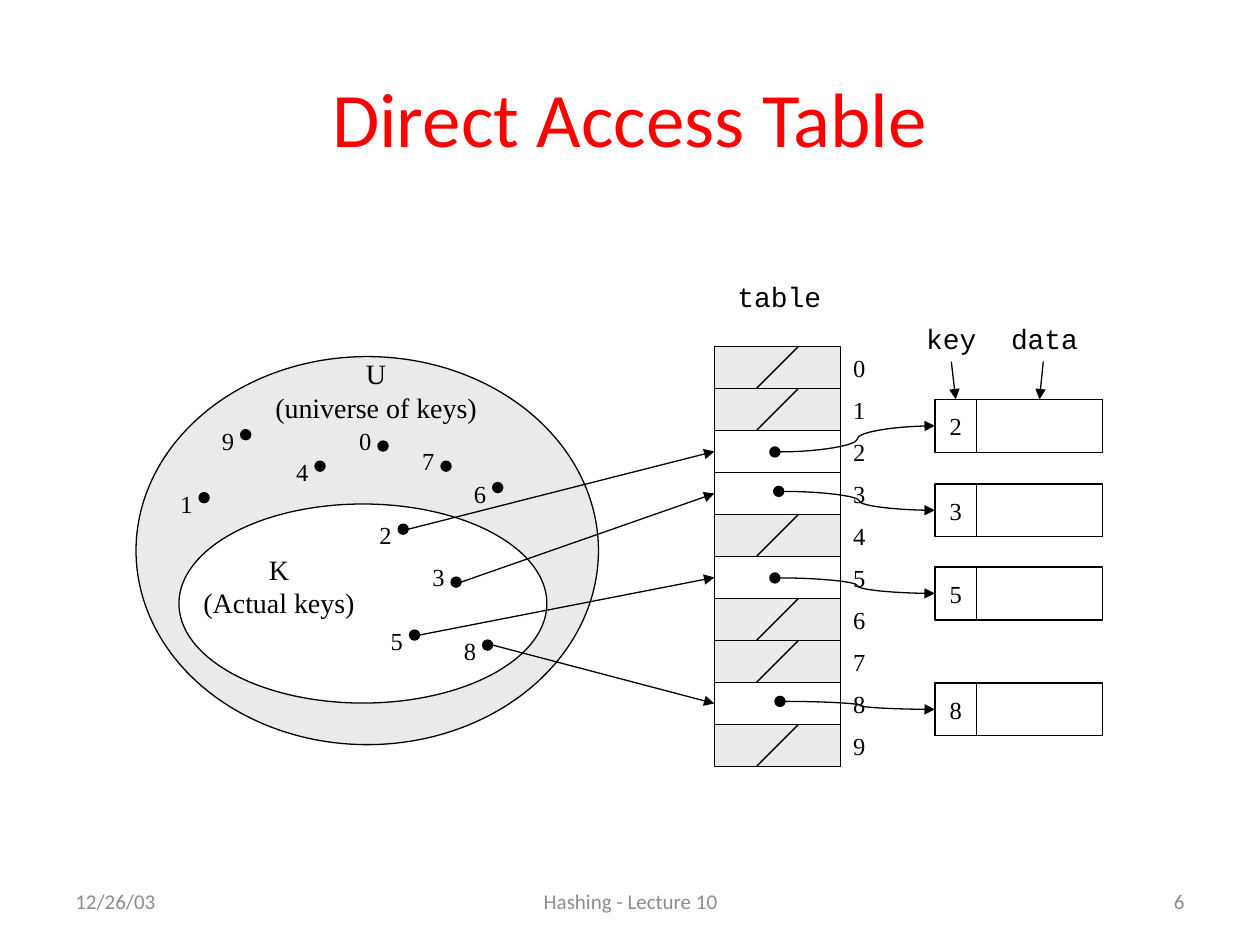
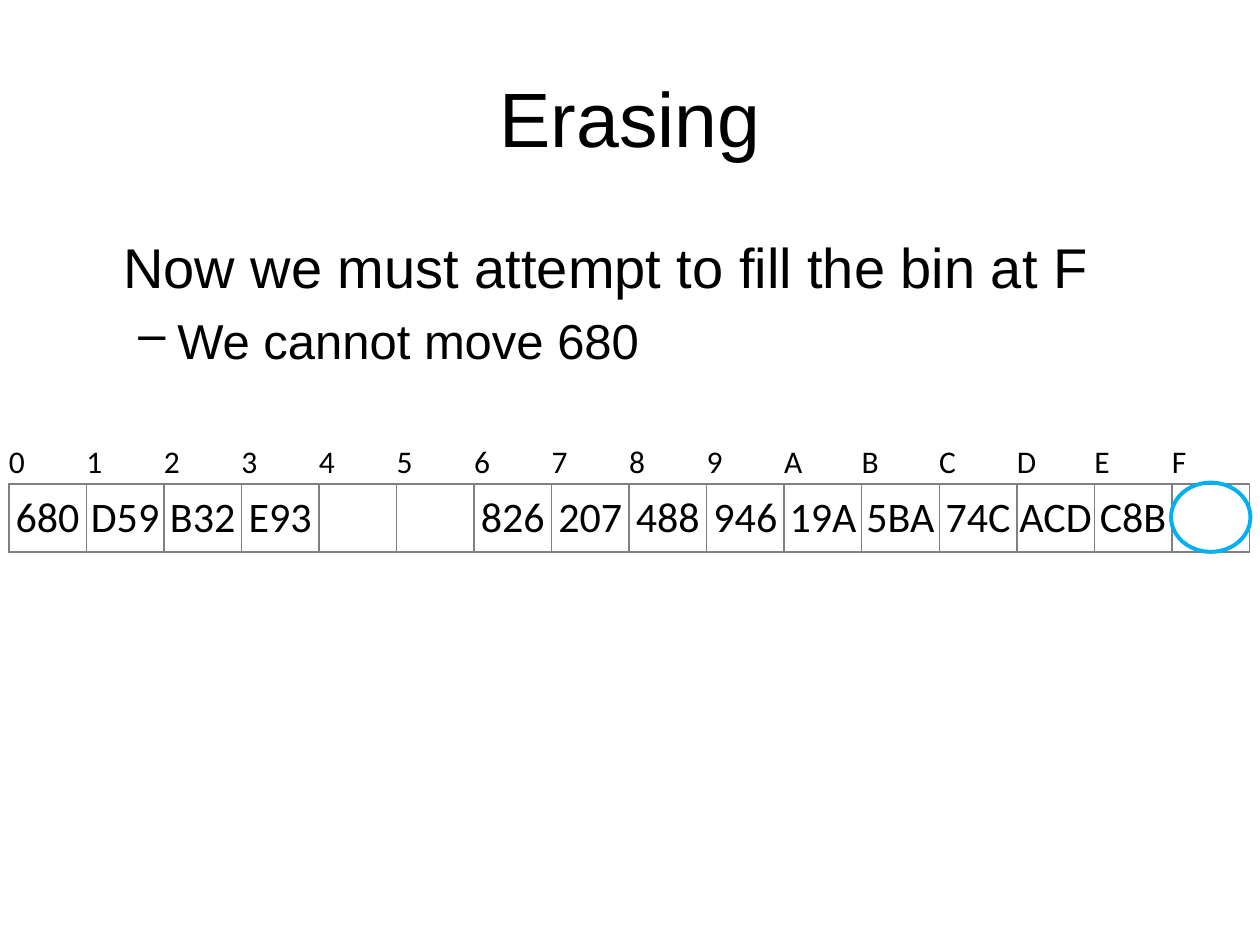
from dataclasses import dataclass

from lxml import etree
from pptx import Presentation
from pptx.dml.color import RGBColor
from pptx.enum.shapes import MSO_CONNECTOR, MSO_SHAPE
from pptx.enum.text import MSO_ANCHOR, PP_ALIGN
from pptx.oxml.ns import qn
from pptx.util import Inches, Pt

STRAIGHT, CURVE = MSO_CONNECTOR.STRAIGHT, MSO_CONNECTOR.CURVE
RECT, OVAL = MSO_SHAPE.RECTANGLE, MSO_SHAPE.OVAL
MIDDLE, TOP = MSO_ANCHOR.MIDDLE, MSO_ANCHOR.TOP
LEFT, CENTER, RIGHT = PP_ALIGN.LEFT, PP_ALIGN.CENTER, PP_ALIGN.RIGHT
TOP_SITE, LEFT_SITE = 0, 1


@dataclass(frozen=True)
class Theme:
    black: str = "000000"
    white: str = "FFFFFF"
    red: str = "FF0000"
    shade: str = "EAEAEA"
    footer: str = "8C8C8C"
    border: str = "808080"
    highlight: str = "00B0F0"
    sans: str = "Calibri"
    body: str = "Arial"
    serif: str = "Times New Roman"
    mono: str = "Courier New"
    title_size: int = 44
    body_size: int = 32
    sub_size: int = 28
    bin_size: int = 24
    index_size: int = 18
    label_size: int = 16
    key_size: int = 14
    footer_size: int = 12
    thin: float = 0.75
    bold_line: float = 2.25


@dataclass(frozen=True)
class Box:
    left: float
    top: float
    width: float
    height: float

    def inner(self, dx, dy, width, height):
        return Box(self.left + dx, self.top + dy, width, height)

    def lengths(self):
        return [Inches(v) for v in (self.left, self.top, self.width, self.height)]


T = Theme()
DOT = 0.08
SLOT_HEIGHT = 1 / 3
KEY_WIDTH = 0.33
RECORD_HEIGHT = 0.42


# Shared drawing helpers
def style_paragraph(paragraph, size, font, color=T.black, align=CENTER):
    paragraph.alignment = align
    for run in paragraph.runs:
        run.font.size, run.font.name = Pt(size), font
        run.font.color.rgb = RGBColor.from_string(color)


def add_text(slide, box, text, size, font, color=T.black, align=CENTER,
             wrap=False, anchor=MIDDLE):
    frame = slide.shapes.add_textbox(*box.lengths()).text_frame
    frame.word_wrap, frame.vertical_anchor = wrap, anchor
    frame.text = text
    for paragraph in frame.paragraphs:
        style_paragraph(paragraph, size, font, color, align)
    return frame


def add_outlined(slide, kind, box, fill=None, line=T.black, width=T.thin):
    shape = slide.shapes.add_shape(kind, *box.lengths())
    shape.shadow.inherit = False
    if fill:
        shape.fill.solid()
        shape.fill.fore_color.rgb = RGBColor.from_string(fill)
    else:
        shape.fill.background()
    shape.line.color.rgb = RGBColor.from_string(line)
    shape.line.width = Pt(width)
    return shape


def add_dot(slide, left, top):
    """Draw a dot and return the middle of its right side."""
    add_outlined(slide, OVAL, Box(left, top, DOT, DOT), T.black)
    return left + DOT, top + DOT / 2


def add_line(slide, start, end, kind=STRAIGHT, arrow=False):
    line = slide.shapes.add_connector(kind, *[Inches(v) for v in (*start, *end)])
    line.line.color.rgb = RGBColor.from_string(T.black)
    line.line.width = Pt(T.thin)
    if arrow:
        etree.SubElement(line.line._get_or_add_ln(), qn("a:tailEnd"), type="triangle")
    etree.SubElement(line._element.spPr, qn("a:effectLst"))
    return line


def add_arrow(slide, start, target, site, kind=STRAIGHT):
    left, top = target.left / Inches(1), target.top / Inches(1)
    width, height = target.width / Inches(1), target.height / Inches(1)
    end = (left + width / 2, top) if site == TOP_SITE else (left, top + height / 2)
    add_line(slide, start, end, kind, arrow=True).end_connect(target, site)


def add_title(slide, text, font, color=T.black):
    add_text(slide, Box(0.5, 0.3, 9, 1.25), text, T.title_size, font, color, wrap=True)


def add_footer(slide, date, lecture, number):
    parts = [(date, 0.5, 2.33, LEFT), (lecture, 3.42, 3.17, CENTER),
             (number, 7.17, 2.33, RIGHT)]
    for text, left, width, align in parts:
        add_text(slide, Box(left, 6.95, width, 0.4), text, T.footer_size, T.sans,
                 T.footer, align, wrap=True)


# Direct access table: the sets of keys
def draw_key_sets(slide, box):
    """Draw universe U with subset K; return where each key's arrow starts."""
    add_outlined(slide, OVAL, box, T.shade)
    add_text(slide, box.inner(1, -0.05, 1.81, 0.64), "U\n(universe of keys)",
             T.label_size, T.serif)
    add_outlined(slide, OVAL, box.inner(0.34, 1.17, 2.92, 1.58), T.white)
    add_text(slide, box.inner(0.43, 1.5, 1.41, 0.64), "K\n(Actual keys)",
             T.label_size, T.serif)
    key_dots = {2: (2.08, 1.33), 5: (2.17, 2.17), 8: (2.75, 2.25), 3: (2.5, 1.75),
                1: (0.5, 1.08), 9: (0.83, 0.58), 4: (1.42, 0.83), 0: (1.92, 0.67),
                7: (2.42, 0.83), 6: (2.83, 1)}
    raised_labels = (0, 3, 7)
    starts = {}
    for key, (dx, dy) in key_dots.items():
        rise = 0.17 if key in raised_labels else 0.08
        add_text(slide, box.inner(dx - 0.25, dy - rise, 0.3, 0.33), str(key),
                 T.key_size, T.serif)
        starts[key] = add_dot(slide, box.left + dx, box.top + dy)
    return starts


# Direct access table: the ten slots
def draw_slots(slide, box, pointers):
    """Draw the slots; return the used slots and their pointer starts."""
    add_text(slide, box.inner(0.08, -0.58, 0.87, 0.37), "table", T.label_size, T.mono)
    slots, starts = {}, {}
    for index in range(10):
        cell = box.inner(0, index * SLOT_HEIGHT, box.width, SLOT_HEIGHT)
        used = index in pointers
        slot = add_outlined(slide, RECT, cell, T.white if used else T.shade)
        add_text(slide, cell.inner(cell.width, 0, 0.3, 0.33), str(index),
                 T.key_size, T.serif)
        if used:
            dx, dy = pointers[index]
            slots[index] = slot
            starts[index] = add_dot(slide, cell.left + dx, cell.top + dy)
        else:
            third = cell.width / 3
            add_line(slide, (cell.left + third, cell.top + cell.height),
                     (cell.left + 2 * third, cell.top))
    return slots, starts


# Direct access table: the key and data records
def draw_records(slide, box, offsets):
    key_cells, data_cells = {}, {}
    for key, dy in offsets.items():
        key_cell = add_outlined(slide, RECT, box.inner(0, dy, KEY_WIDTH, RECORD_HEIGHT))
        frame = key_cell.text_frame
        frame.word_wrap, frame.vertical_anchor = False, MIDDLE
        frame.text = str(key)
        style_paragraph(frame.paragraphs[0], T.key_size, T.serif)
        key_cells[key] = key_cell
        data_cells[key] = add_outlined(
            slide, RECT,
            box.inner(KEY_WIDTH, dy, box.width - KEY_WIDTH, RECORD_HEIGHT), T.white)
    first = next(iter(offsets))
    headings = [("key", -0.17, 0.6, 0.13, key_cells),
                ("data", 0.5, 0.74, 0.86, data_cells)]
    for text, dx, width, arrow_dx, cells in headings:
        add_text(slide, box.inner(dx, -0.67, width, 0.37), text, T.label_size, T.mono)
        add_arrow(slide, (box.left + arrow_dx, box.top - 0.3), cells[first], TOP_SITE)
    return key_cells


def build_direct_access(slide):
    add_footer(slide, "12/26/03", "Hashing - Lecture 10", "6")
    add_title(slide, "Direct Access Table", T.sans, T.red)
    key_starts = draw_key_sets(slide, Box(1.08, 2.83, 3.67, 3.08))
    pointers = {2: (0.44, 0.13), 3: (0.47, 0.11), 5: (0.44, 0.13), 8: (0.48, 0.11)}
    slots, slot_starts = draw_slots(slide, Box(5.67, 2.75, 1, 3.33), pointers)
    key_cells = draw_records(slide, Box(7.42, 3.17, 1.33, 2.67),
                             {2: 0, 3: 0.67, 5: 1.33, 8: 2.25})
    for key in pointers:
        add_arrow(slide, key_starts[key], slots[key], LEFT_SITE)
        add_arrow(slide, slot_starts[key], key_cells[key], LEFT_SITE, CURVE)


# Erasing: text and hash bins
def draw_explanation(slide, box):
    frame = add_text(slide, box, "Now we must attempt to fill the bin at F\nWe cannot move 680",
                     T.body_size, T.body, align=LEFT, wrap=True, anchor=TOP)
    main, detail = frame.paragraphs
    main._p.get_or_add_pPr().set("marL", str(Inches(0.38)))
    properties = detail._p.get_or_add_pPr()
    properties.set("marL", str(Inches(0.81)))
    properties.set("indent", str(Inches(-0.31)))
    etree.SubElement(properties, qn("a:buChar"), char="–")
    detail.space_before = Pt(6)
    detail.runs[0].font.size = Pt(T.sub_size)


def set_borders(cell, visible_sides):
    properties = cell._tc.get_or_add_tcPr()
    for position, side in enumerate(("L", "R", "T", "B")):
        line = etree.Element(qn(f"a:ln{side}"), w=str(Pt(1)))
        if side in visible_sides:
            fill = etree.SubElement(line, qn("a:solidFill"))
            etree.SubElement(fill, qn("a:srgbClr"), val=T.border)
        else:
            etree.SubElement(line, qn("a:noFill"))
        properties.insert(position, line)


def draw_bins(slide, box):
    indexes = "0123456789ABCDEF"
    bins = ["680", "D59", "B32", "E93", "", "", "826", "207",
            "488", "946", "19A", "5BA", "74C", "ACD", "C8B", ""]
    index_height = 0.33
    bin_height = box.height - index_height
    table = slide.shapes.add_table(2, len(bins), *box.lengths()).table
    table.first_row = table.horz_banding = False
    column_width = box.width / len(bins)
    for column in table.columns:
        column.width = Inches(column_width)
    rows = [(indexes, index_height, T.index_size, LEFT, "B"),
            (bins, bin_height, T.bin_size, CENTER, "LRTB")]
    for r, (texts, height, size, align, sides) in enumerate(rows):
        table.rows[r].height = Inches(height)
        for c, text in enumerate(texts):
            cell = table.cell(r, c)
            cell.margin_left = cell.margin_right = cell.margin_top = cell.margin_bottom = 0
            cell.vertical_anchor = MIDDLE
            cell.fill.background()
            set_borders(cell, sides)
            cell.text = text
            style_paragraph(cell.text_frame.paragraphs[0], size, T.sans, align=align)
    # Ring around the empty bin F
    add_outlined(slide, OVAL,
                 box.inner(box.width - column_width - 0.01, index_height - 0.01,
                           0.63, bin_height + 0.01),
                 line=T.highlight, width=T.bold_line)


def build_erasing(slide):
    add_title(slide, "Erasing", T.body)
    draw_explanation(slide, Box(0.5, 1.8, 9, 4.9))
    draw_bins(slide, Box(0.07, 3.51, 9.85, 0.87))


def main():
    deck = Presentation()
    deck.slide_width, deck.slide_height = Inches(10), Inches(7.5)
    blank = deck.slide_layouts[6]
    for build in (build_direct_access, build_erasing):
        build(deck.slides.add_slide(blank))
    deck.save("out.pptx")


if __name__ == "__main__":
    main()
